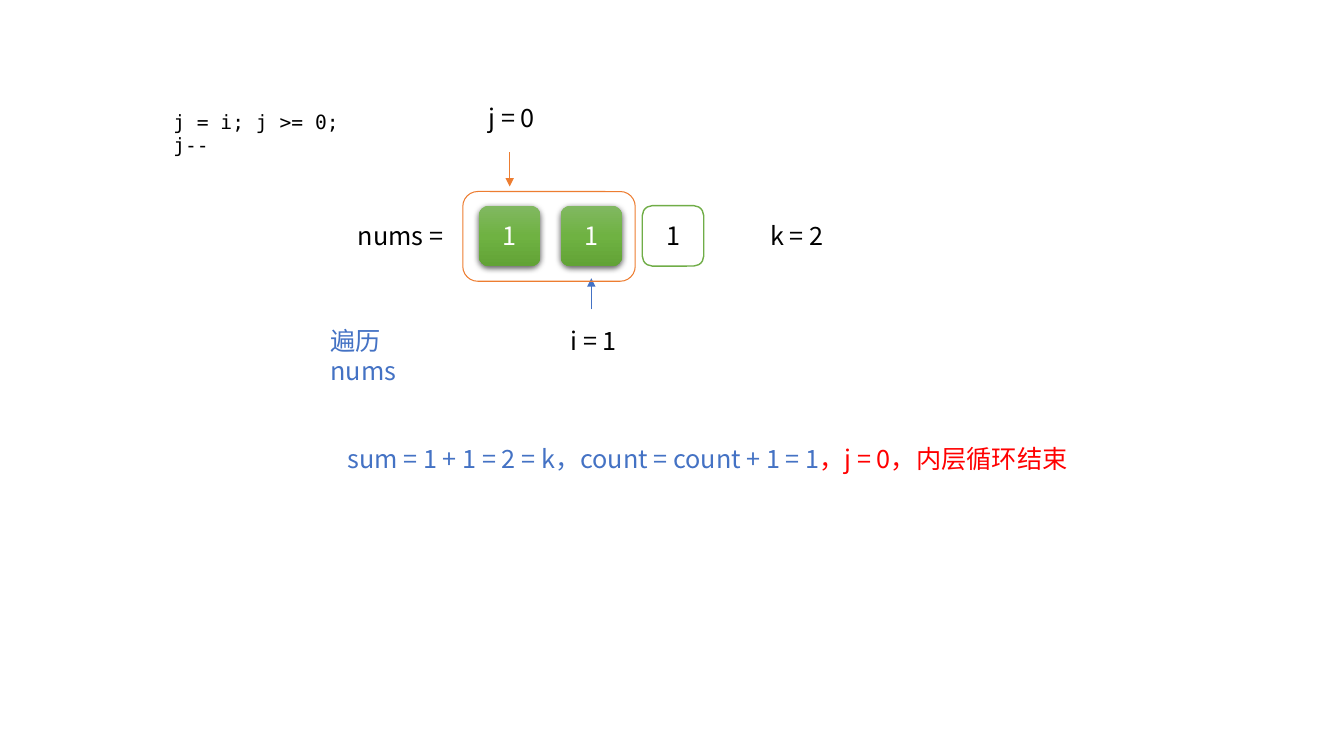
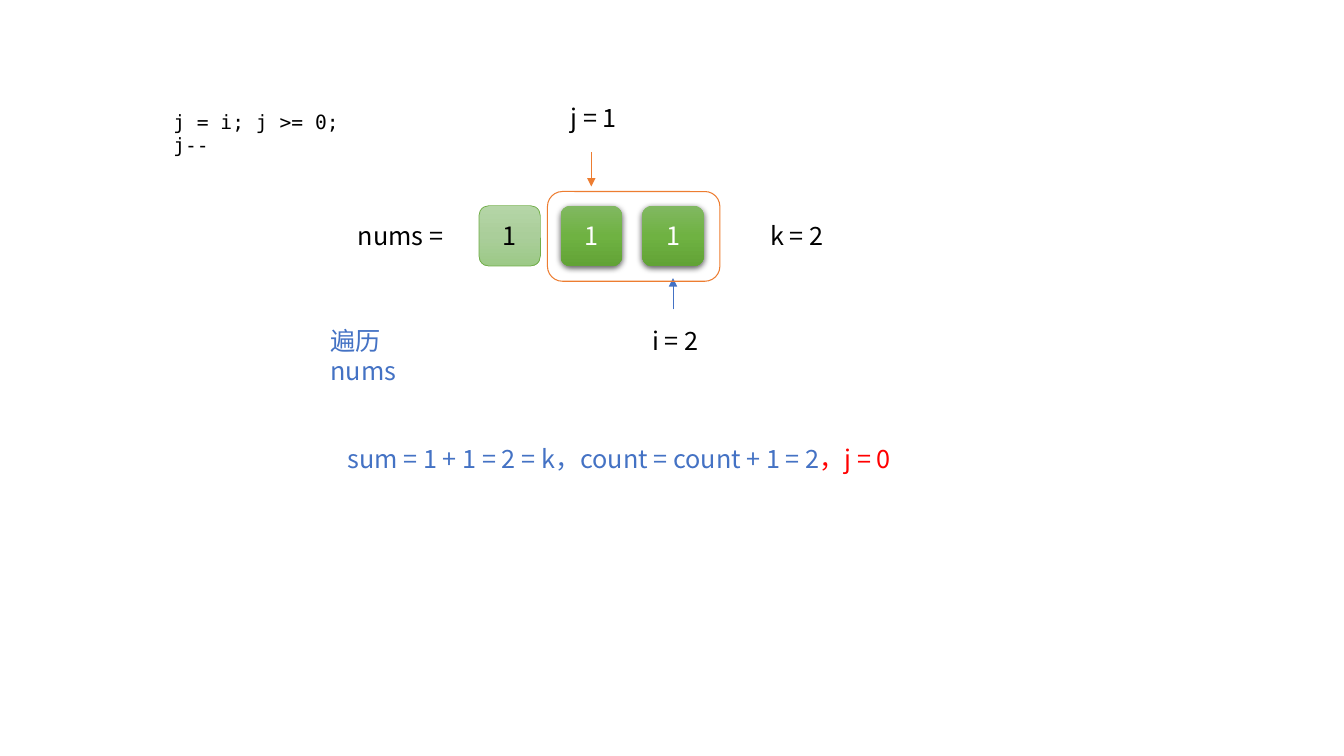
"""Build two slides that trace a subarray-sum loop over nums."""
from lxml import etree
from pptx import Presentation
from pptx.dml.color import RGBColor
from pptx.enum.shapes import MSO_CONNECTOR, MSO_SHAPE
from pptx.enum.text import MSO_ANCHOR, MSO_AUTO_SIZE, PP_ALIGN
from pptx.oxml.ns import qn
from pptx.util import Inches, Pt

STRAIGHT, ROUNDED = MSO_CONNECTOR.STRAIGHT, MSO_SHAPE.ROUNDED_RECTANGLE
MIDDLE, CENTER, GROW = MSO_ANCHOR.MIDDLE, PP_ALIGN.CENTER, MSO_AUTO_SIZE.SHAPE_TO_FIT_TEXT
BLACK, WHITE = RGBColor(0, 0, 0), RGBColor(255, 255, 255)
BLUE, ORANGE = RGBColor(0x44, 0x72, 0xC4), RGBColor(0xED, 0x7D, 0x31)
GREEN, RED = RGBColor(0x70, 0xAD, 0x47), RGBColor(255, 0, 0)
SANS, MONO = "Noto Sans CJK SC", "DejaVu Sans Mono"

CELL_STYLES = {
    "active": {"stops": ("81B861", "6FB242", "62A336"), "line": None, "text": WHITE},
    "done": {"stops": ("B5D5A7", "AACE9A", "9CC987"), "line": 0.5, "text": BLACK},
    "waiting": {"stops": None, "line": 1, "text": BLACK},
}
LABELS = [
    ("k = 2", 7.54, 2.14, 0.76, BLACK, SANS, 18),
    ("nums = ", 3.45, 2.14, 1.1, BLACK, SANS, 18),
    ("遍历 nums", 3.18, 3.18, 1.37, BLUE, SANS, 18),
    ("j = i; j >= 0; j--", 1.62, 1.04, 2.28, BLACK, MONO, 14),
]
STEPS = [
    {"cells": ("active", "active", "waiting"), "j": 0, "i": 1, "width": 7.58,
     "result": [("sum = 1 + 1 = 2 = k，count = count + 1 = 1", BLUE),
                ("，j = 0，内层循环结束", RED)]},
    {"cells": ("done", "active", "active"), "j": 1, "i": 2, "width": 5.81,
     "result": [("sum = 1 + 1 = 2 = k，count = count + 1 = 2", BLUE),
                ("，j = 0", RED)]},
]
CELL_LEFT, CELL_TOP, CELL_W, CELL_H, CELL_PITCH = 4.75, 2.04, 0.61, 0.6, 0.81
FRAME_LEFT, FRAME_TOP, FRAME_W, FRAME_H, FRAME_PITCH = 4.59, 1.9, 1.71, 0.89, 0.84


def cell_left(index):
    return CELL_LEFT + index * CELL_PITCH


def add_run(p, text, color, font=SANS, size=18):
    r = p.add_run()
    r.text = text
    for name, value in {"name": font, "size": Pt(size)}.items():
        setattr(r.font, name, value)
    r.font.color.rgb = color
    etree.SubElement(r.font._element, qn("a:ea"), typeface=font)


def add_text(s, runs, left, top, width, font=SANS, size=18):
    box = s.shapes.add_textbox(Inches(left), Inches(top), Inches(width), Inches(0.4))
    tf = box.text_frame
    for name, value in {"word_wrap": True, "auto_size": GROW}.items():
        setattr(tf, name, value)
    for text, color in runs:
        add_run(tf.paragraphs[0], text, color, font, size)


def add_rounded(s, left, top, width, height, line_color, line_width):
    sp = s.shapes.add_shape(ROUNDED, *map(Inches, (left, top, width, height)))
    sp.shadow.inherit = False
    if line_width:
        sp.line.color.rgb = line_color
        sp.line.width = Pt(line_width)
    else:
        sp.line.fill.background()
    return sp


def set_gradient(sp, colors):
    sp.fill.gradient()
    sp.fill.gradient_angle = 270
    stops = sp._element.spPr.find(".//" + qn("a:gsLst"))
    stops.clear()
    for n, color in enumerate(colors):
        stop = etree.SubElement(stops, qn("a:gs"), pos=str(n * 50000))
        etree.SubElement(stop, qn("a:srgbClr"), val=color)


def add_shadow(sp):
    effects = sp._element.spPr.find(qn("a:effectLst"))
    shadow = etree.SubElement(effects, qn("a:outerShdw"), blurRad=str(Pt(4.5)),
                              dist=str(Pt(1.5)), dir="5400000", algn="ctr", rotWithShape="0")
    color = etree.SubElement(shadow, qn("a:srgbClr"), val="000000")
    etree.SubElement(color, qn("a:alpha"), val="63000")


def add_cell(s, index, state):
    style = CELL_STYLES[state]
    sp = add_rounded(s, cell_left(index), CELL_TOP, CELL_W, CELL_H, GREEN, style["line"])
    if style["stops"]:
        set_gradient(sp, style["stops"])
    else:
        sp.fill.solid()
        sp.fill.fore_color.rgb = WHITE
    if state == "active":
        add_shadow(sp)
    sp.text_frame.vertical_anchor = MIDDLE
    p = sp.text_frame.paragraphs[0]
    p.alignment = CENTER
    add_run(p, "1", style["text"])


def add_pointer(s, name, index, label_top, start, end, color):
    x = Inches(cell_left(index) + CELL_W / 2)
    arrow = s.shapes.add_connector(STRAIGHT, x, Inches(start), x, Inches(end))
    arrow.line.color.rgb = color
    arrow.line.width = Pt(0.5)
    etree.SubElement(arrow.line._get_or_add_ln(), qn("a:tailEnd"), type="triangle")
    etree.SubElement(arrow._element.spPr, qn("a:effectLst"))
    add_text(s, [(f"{name} = {index}", BLACK)], cell_left(index), label_top, 0.7)


prs = Presentation()
prs.slide_width, prs.slide_height = Inches(13.33), Inches(7.5)
for step in STEPS:
    s = prs.slides.add_slide(prs.slide_layouts[6])
    for index, state in enumerate(step["cells"]):
        add_cell(s, index, state)
    for text, left, top, width, color, font, size in LABELS:
        add_text(s, [(text, color)], left, top, width, font, size)
    add_pointer(s, "i", step["i"], 3.18, 3.07, 2.76, BLUE)
    add_pointer(s, "j", step["j"], 0.97, 1.51, 1.85, ORANGE)
    add_text(s, step["result"], 3.35, 4.35, step["width"])
    frame = add_rounded(s, FRAME_LEFT + step["j"] * FRAME_PITCH, FRAME_TOP,
                        FRAME_W, FRAME_H, ORANGE, 0.75)
    frame.fill.background()
prs.save("out.pptx")
